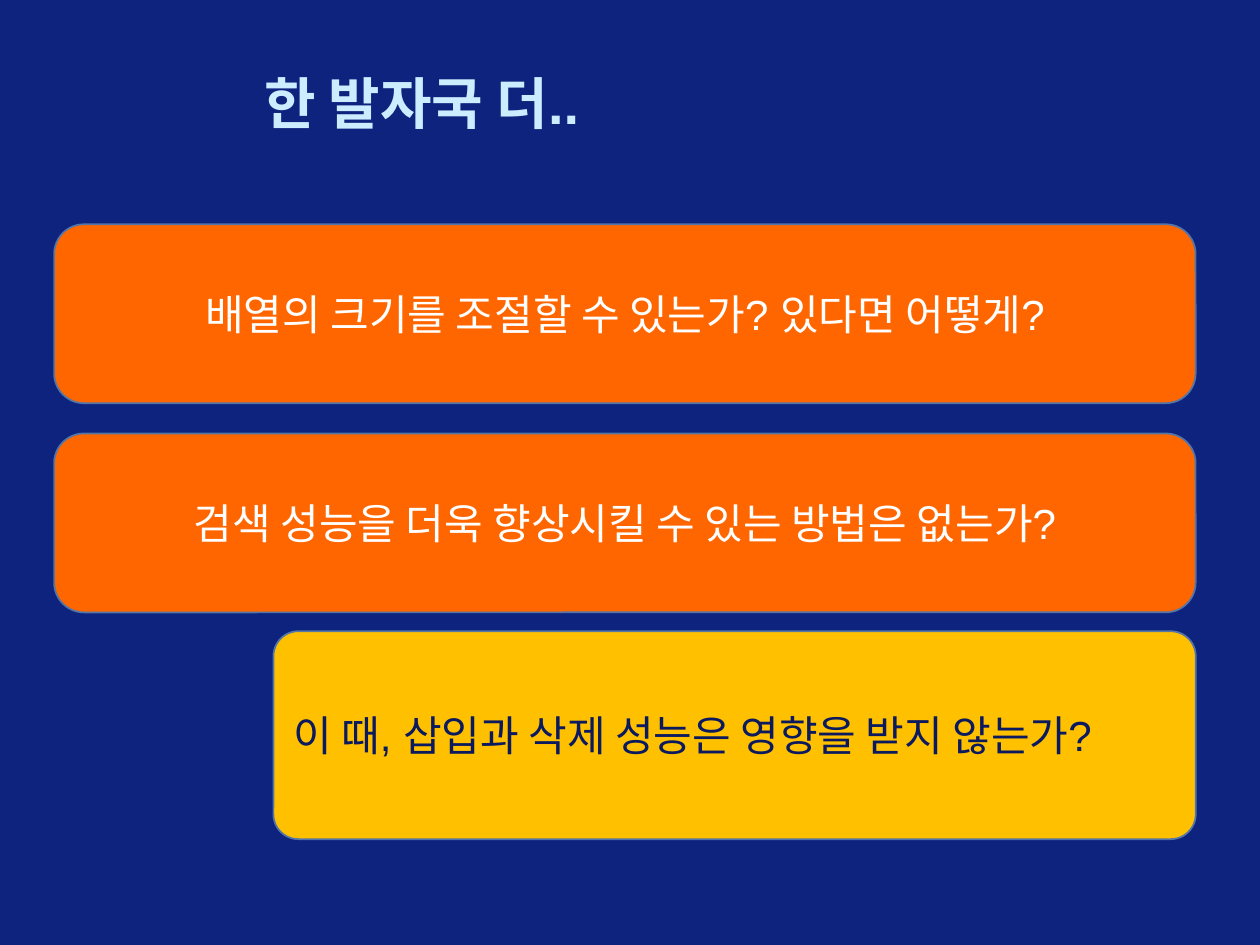
from pptx import Presentation
from pptx.dml.color import RGBColor
from pptx.enum import shapes, text
from pptx.util import Inches, Pt

FONT = "Arial"
RIGHT = 9.49


def rgb(value):
    return RGBColor.from_string(value)


def style(p, size, color, align, bold=False):
    p.alignment = align
    p.font.name = FONT
    p.font.size = Pt(size)
    p.font.bold = bold
    p.font.color.rgb = rgb(color)


def set_title(s, words):
    sp = s.shapes.title
    sp.left, sp.top = Inches(2), Inches(0.5)
    sp.width, sp.height = Inches(7.58), Inches(0.62)
    tf = sp.text_frame
    tf.text = words
    tf.vertical_anchor = text.MSO_ANCHOR.MIDDLE
    style(tf.paragraphs[0], 32, "CCECFF", text.PP_ALIGN.LEFT, bold=True)


def add_question(s, words, left, top, height, fill, color, align, corner=0.1667):
    """Add a rounded box that reaches the common right edge."""
    sp = s.shapes.add_shape(
        shapes.MSO_SHAPE.ROUNDED_RECTANGLE,
        Inches(left), Inches(top), Inches(RIGHT - left), Inches(height))
    sp.shadow.inherit = False
    sp.adjustments[0] = corner
    sp.fill.solid()
    sp.fill.fore_color.rgb = rgb(fill)
    sp.line.color.rgb = rgb("5375A7")
    sp.line.width = Pt(1)
    tf = sp.text_frame
    tf.word_wrap = True
    tf.vertical_anchor = text.MSO_ANCHOR.MIDDLE
    tf.text = words
    style(tf.paragraphs[0], 24, color, align)


def main():
    prs = Presentation()
    prs.slide_width, prs.slide_height = Inches(10), Inches(7.5)
    s = prs.slides.add_slide(prs.slide_layouts[5])
    s.background.fill.solid()
    s.background.fill.fore_color.rgb = rgb("0E237E")

    set_title(s, "한 발자국 더..")
    questions = ["배열의 크기를 조절할 수 있는가? 있다면 어떻게?",
                 "검색 성능을 더욱 향상시킬 수 있는 방법은 없는가?"]
    for i, words in enumerate(questions):
        add_question(s, words, 0.43, 1.78 + i * 1.66, 1.42,
                     "FF6600", "FFFFFF", text.PP_ALIGN.CENTER)
    add_question(s, "이 때, 삽입과 삭제 성능은 영향을 받지 않는가?", 2.17, 5.01, 1.65,
                 "FFC000", "0B1A5E", text.PP_ALIGN.LEFT, corner=0.12)
    prs.save("out.pptx")


if __name__ == "__main__":
    main()
